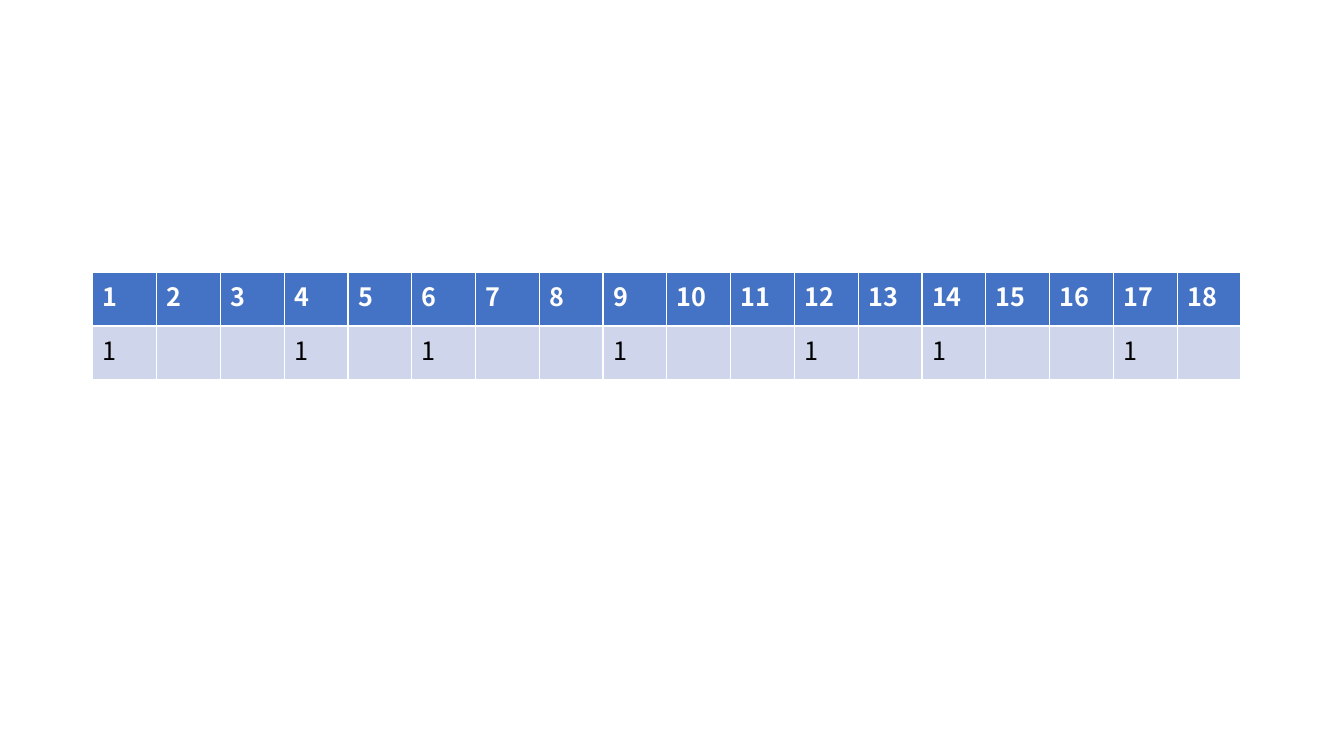
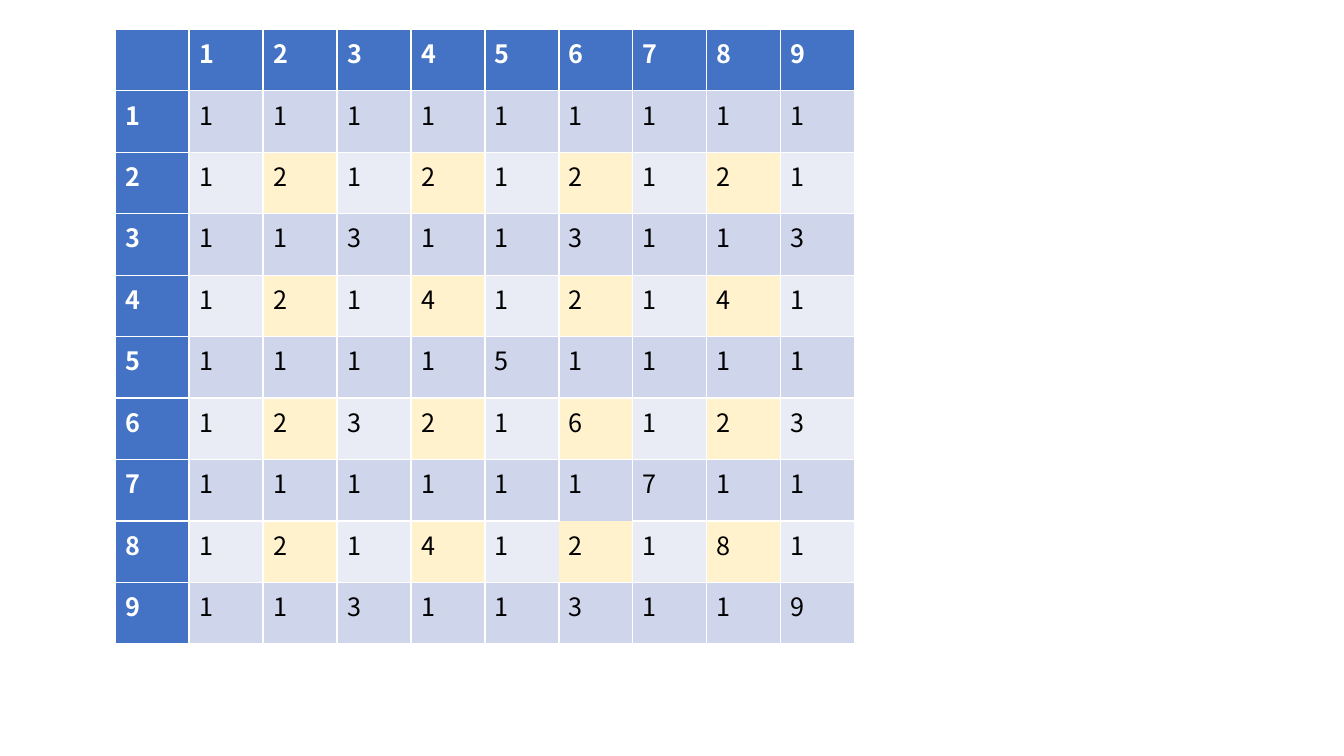
from math import gcd

from lxml.etree import SubElement
from pptx import Presentation
from pptx.dml.color import RGBColor
from pptx.oxml.ns import qn
from pptx.util import Inches, Pt

COLORS = {
    "header": "4472C4",
    "header_text": "FFFFFF",
    "text": "000000",
    "band_dark": "CFD5EA",
    "band_light": "E9EBF5",
    "highlight": "FFF2CC",
}
FONT = "Noto Sans CJK SC"
FONT_SIZE = 18

POSITIONS = range(1, 19)
MARKED = {1, 4, 6, 9, 12, 14, 17}
MARK_ROWS = [list(POSITIONS), [1 if n in MARKED else "" for n in POSITIONS]]

DIGITS = range(1, 10)
GCD_ROWS = [["", *DIGITS]] + [[a] + [gcd(a, b) for b in DIGITS] for a in DIGITS]
BORDERLESS = (8, 6)


def rgb(name):
    return RGBColor.from_string(COLORS[name])


def body_color(row, col, highlight_even):
    if highlight_even and row % 2 == 0 and col % 2 == 0:
        return "highlight"
    return "band_dark" if row % 2 else "band_light"


def clear_borders(cell):
    tc_pr = cell._tc.get_or_add_tcPr()
    for i, edge in enumerate(("lnL", "lnR", "lnT", "lnB")):
        line = SubElement(tc_pr, qn(f"a:{edge}"))
        SubElement(line, qn("a:noFill"))
        tc_pr.insert(i, line)


def add_grid(prs, rows, left, top, width, height, first_col=False):
    s = prs.slides.add_slide(prs.slide_layouts[6])
    n_rows, n_cols = len(rows), len(rows[0])
    table = s.shapes.add_table(n_rows, n_cols, Inches(left), Inches(top),
                               Inches(width), Inches(height)).table
    table.first_col = first_col
    for column in table.columns:
        column.width = Inches(width / n_cols)
    for row in table.rows:
        row.height = Inches(height / n_rows)
    for i, values in enumerate(rows):
        for j, value in enumerate(values):
            cell = table.cell(i, j)
            is_header = i == 0 or (first_col and j == 0)
            cell.fill.solid()
            cell.fill.fore_color.rgb = rgb(
                "header" if is_header else body_color(i, j, first_col))
            p = cell.text_frame.paragraphs[0]
            p.text = str(value)
            p.font.size = Pt(FONT_SIZE)
            for r in p.runs:
                r.font.name = FONT
                r.font.size = Pt(FONT_SIZE)
                r.font.bold = is_header
                r.font.color.rgb = rgb("header_text" if is_header else "text")
    return table


def main():
    prs = Presentation()
    prs.slide_width, prs.slide_height = Inches(13.33), Inches(7.5)
    add_grid(prs, MARK_ROWS, 0.92, 2.7, 11.39, 1.07)
    gcd_table = add_grid(prs, GCD_ROWS, 1.14, 0.29, 7.34, 6.1, first_col=True)
    clear_borders(gcd_table.cell(*BORDERLESS))
    prs.save("out.pptx")


if __name__ == "__main__":
    main()
